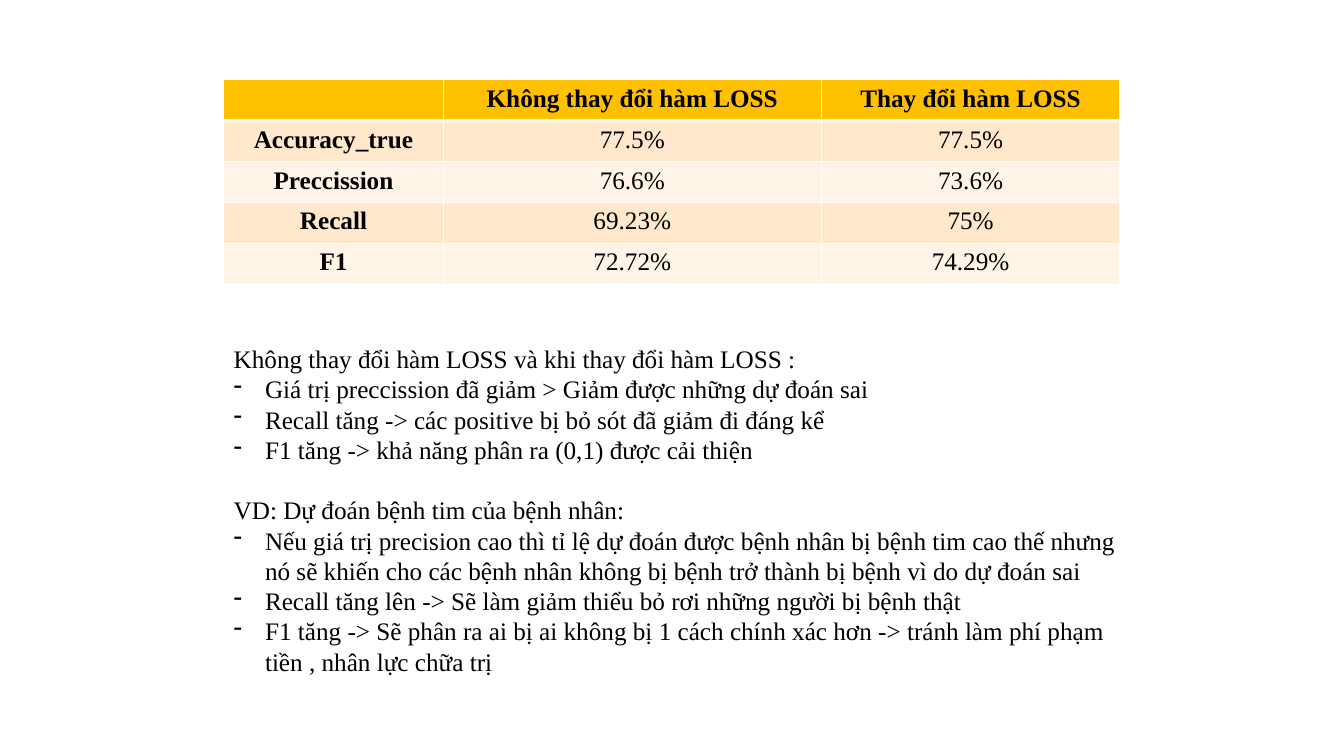
"""Build a slide that compares model scores with and without a changed loss function."""
from lxml import etree
from pptx import Presentation, util as u
from pptx.dml.color import RGBColor
from pptx.enum import text
from pptx.oxml import ns

HUES = {"head": "FFC000", "odd": "FFE8CC", "even": "FFF4E7", "rule": "FFFFFF", "ink": "000000"}
FONT = {"name": "Times New Roman", "size": u.Pt(18)}


def style(run, bold=False):
    """Apply the common font to a run."""
    for key, value in {**FONT, "bold": bold}.items():
        setattr(run.font, key, value)
    run.font.color.rgb = RGBColor.from_string(HUES["ink"])


def border(cell, side, width):
    """Draw one edge of a table cell."""
    line = etree.SubElement(cell._tc.get_or_add_tcPr(), ns.qn(f"a:ln{side}"), w=str(u.Pt(width)))
    fill = etree.SubElement(line, ns.qn("a:solidFill"))
    etree.SubElement(fill, ns.qn("a:srgbClr"), val=HUES["rule"])


deck = Presentation()
deck.slide_width, deck.slide_height = u.Cm(33.87), u.Cm(19.05)
slide = deck.slides.add_slide(deck.slide_layouts[6])

scores = [
    ("", "Không thay đổi hàm LOSS", "Thay đổi hàm LOSS"),
    ("Accuracy_true", "77.5%", "77.5%"),
    ("Preccission", "76.6%", "73.6%"),
    ("Recall", "69.23%", "75%"),
    ("F1", "72.72%", "74.29%"),
]
widths = [5.53, 9.53, 7.52]
left, high = 5.64, 1.03
table = slide.shapes.add_table(
    len(scores), len(widths), u.Cm(left), u.Cm(2.01), u.Cm(sum(widths)), u.Cm(high * len(scores))
).table
for col, width in zip(table.columns, widths):
    col.width = u.Cm(width)
for r, row in enumerate(scores):
    table.rows[r].height = u.Cm(high)
    hue = "head" if r == 0 else "odd" if r % 2 else "even"
    for c, words in enumerate(row):
        cell = table.cell(r, c)
        for side in "LRTB":
            heavy = (r, side) in [(0, "B"), (1, "T")]
            border(cell, side, 3 if heavy else 1)
        cell.fill.solid()
        cell.fill.fore_color.rgb = RGBColor.from_string(HUES[hue])
        para = cell.text_frame.paragraphs[0]
        para.alignment = text.PP_ALIGN.CENTER
        para.font.size = FONT["size"]
        if words:
            run = para.add_run()
            run.text = words
            style(run, bold=r == 0 or c == 0)

notes = [
    ("Không thay đổi hàm LOSS và khi thay đổi hàm LOSS :", [
        "Giá trị preccission đã giảm > Giảm được những dự đoán sai",
        "Recall tăng -> các positive bị bỏ sót đã giảm đi đáng kể",
        "F1 tăng -> khả năng phân ra (0,1) được cải thiện",
    ]),
    ("VD: Dự đoán bệnh tim của bệnh nhân:", [
        "Nếu giá trị precision cao thì tỉ lệ dự đoán được bệnh nhân bị bệnh tim cao thế nhưng "
        "nó sẽ khiến cho các bệnh nhân không bị bệnh trở thành bị bệnh vì do dự đoán sai",
        "Recall tăng lên -> Sẽ làm giảm thiểu bỏ rơi những người bị bệnh thật",
        "F1 tăng -> Sẽ phân ra ai bị ai không bị 1 cách chính xác hơn -> tránh làm phí phạm "
        "tiền , nhân lực chữa trị",
    ]),
]
frame = slide.shapes.add_textbox(u.Cm(left), u.Cm(8.53), u.Cm(22.83), u.Cm(8.71)).text_frame
for key, value in {"word_wrap": True, "auto_size": text.MSO_AUTO_SIZE.SHAPE_TO_FIT_TEXT}.items():
    setattr(frame, key, value)
para = frame.paragraphs[0]
for n, (title, points) in enumerate(notes):
    if n:
        para = frame.add_paragraph()
        para.space_before = u.Pt(21.6)
    run = para.add_run()
    run.text = title
    style(run)
    for point in points:
        para = frame.add_paragraph()
        props = para._p.get_or_add_pPr()
        props.set("marL", str(u.Cm(0.79)))
        props.set("indent", str(u.Cm(-0.79)))
        etree.SubElement(props, ns.qn("a:buFontTx"))
        etree.SubElement(props, ns.qn("a:buChar"), char="-")
        run = para.add_run()
        run.text = point
        style(run)

deck.save("out.pptx")
